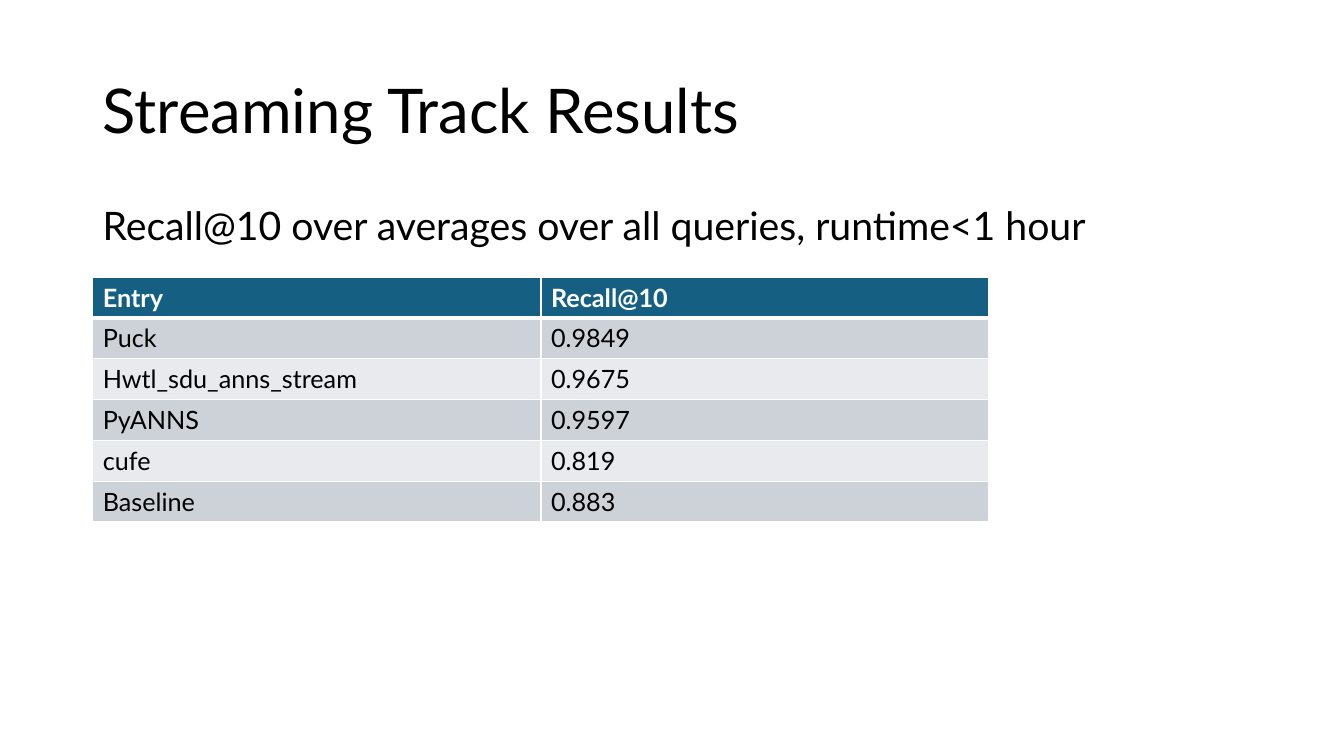
import pptx
import pptx.dml.color
import pptx.enum.text
import pptx.oxml
import pptx.oxml.ns
import pptx.util

Inches = pptx.util.Inches
Pt = pptx.util.Pt

FONT = "Lato"
BLACK, WHITE = "000000", "FFFFFF"
HEADER_FILL = "156082"
BAND_FILLS = ["CCD2D8", "E8EAED"]
RESULTS = [
    ("Entry", "Recall@10"),
    ("Puck", "0.9849"),
    ("Hwtl_sdu_anns_stream", "0.9675"),
    ("PyANNS", "0.9597"),
    ("cufe", "0.819"),
    ("Baseline", "0.883"),
]


def color(value):
    return pptx.dml.color.RGBColor.from_string(value)


def write(tf, text, size=18, fill=BLACK, bold=False, spacing=None, before=None,
          anchor=pptx.enum.text.MSO_ANCHOR.TOP):
    tf.word_wrap = True
    tf.vertical_anchor = anchor
    p = tf.paragraphs[0]
    p.alignment = pptx.enum.text.PP_ALIGN.LEFT
    if spacing is not None:
        p.line_spacing = spacing
    if before is not None:
        p.space_before = Pt(before)
    r = p.add_run()
    r.text = text
    r.font.name = FONT
    r.font.size = Pt(size)
    r.font.bold = bold
    r.font.color.rgb = color(fill)


def set_borders(cell, **widths):
    """Draw white cell borders; widths in points, keyed L, R, T, B."""
    tc_pr = cell._tc.get_or_add_tcPr()
    for side, width in widths.items():
        tc_pr.append(pptx.oxml.parse_xml(
            f'<a:ln{side} {pptx.oxml.ns.nsdecls("a")} w="{Pt(width)}">'
            f'<a:solidFill><a:srgbClr val="{WHITE}"/></a:solidFill></a:ln{side}>'))


def add_title(slide, text, left, top, width, height):
    sp = slide.shapes.title
    sp.left, sp.top, sp.width, sp.height = map(Inches, (left, top, width, height))
    write(sp.text_frame, text, size=44, spacing=0.9,
          anchor=pptx.enum.text.MSO_ANCHOR.MIDDLE)


def add_body(slide, text, left, top, width, height):
    sp = slide.shapes.add_textbox(*map(Inches, (left, top, width, height)))
    write(sp.text_frame, text, size=28, spacing=0.9, before=10)


def add_results(slide, rows, left, top, width, height):
    box = map(Inches, (left, top, width, height))
    table = slide.shapes.add_table(len(rows), len(rows[0]), *box).table
    for i, row in enumerate(rows):
        header = i == 0
        for j, text in enumerate(row):
            cell = table.cell(i, j)
            # The rule under the header is thicker than the grid
            set_borders(cell, L=1, R=1, T=3 if i == 1 else 1, B=3 if header else 1)
            cell.fill.solid()
            cell.fill.fore_color.rgb = color(
                HEADER_FILL if header else BAND_FILLS[(i - 1) % 2])
            write(cell.text_frame, text, fill=WHITE if header else BLACK, bold=header)


def main():
    prs = pptx.Presentation()
    prs.slide_width, prs.slide_height = Inches(13.33), Inches(7.5)
    slide = prs.slides.add_slide(prs.slide_layouts[5])

    # Heading and summary share the left margin with the table
    left, width = 0.92, 11.5
    add_title(slide, "Streaming Track Results", left, 0.4, width, 1.45)
    add_body(slide, "Recall@10 over averages over all queries, runtime<1 hour",
             left, 2, width, 4.76)

    # Results table
    add_results(slide, RESULTS, left, 2.75, 8.89, 2.43)
    prs.save("out.pptx")


if __name__ == "__main__":
    main()
